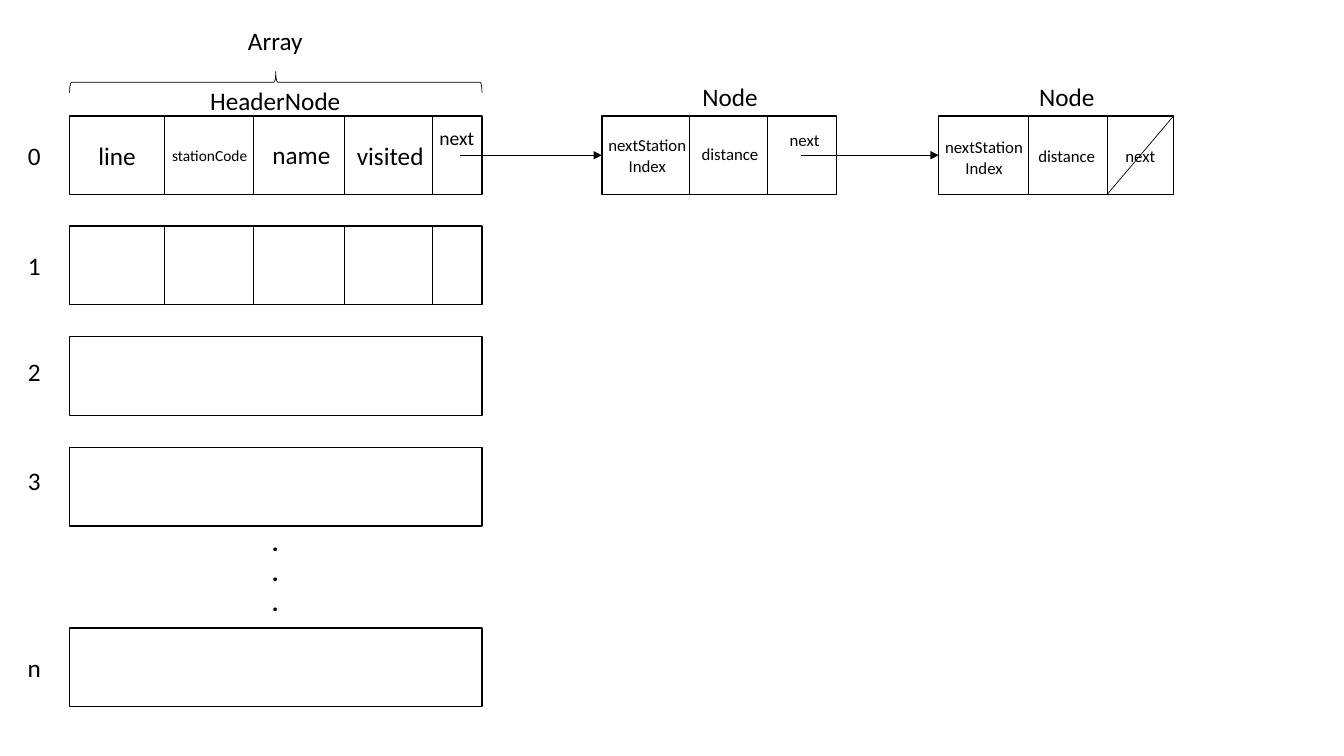
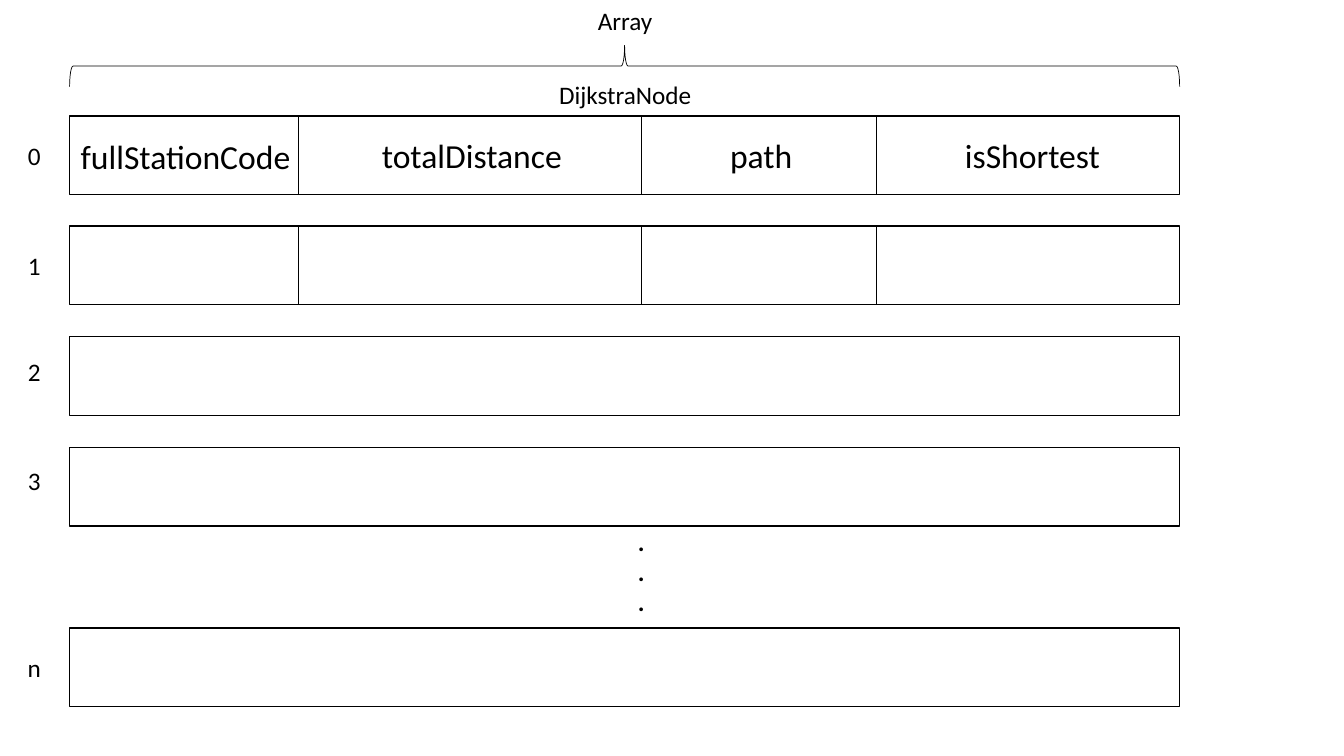
from lxml.etree import SubElement as Sub
from pptx import Presentation
from pptx.dml.color import RGBColor
from pptx.enum.shapes import MSO_CONNECTOR as Conn, MSO_SHAPE as Kind
from pptx.enum.text import MSO_ANCHOR as Anchor, MSO_AUTO_SIZE as Auto, PP_ALIGN as Align
from pptx.oxml.ns import qn
from pptx.util import Emu, Pt

PX = 9144
BLACK = RGBColor(0, 0, 0)
LEFT, TOP, HIGH = 69, 115, 78
MID = TOP + HIGH // 2
ROWS = (("0", 115, 154), ("1", 224, 263), ("2", 334, 368), ("3", 444, 477), ("n", 623, 662))
FRAME = {"word_wrap": True, "auto_size": Auto.SHAPE_TO_FIT_TEXT, "vertical_anchor": Anchor.MIDDLE}


def px(*vals):
    """Turn lengths in px into EMU."""
    return [Emu(round(val * PX)) for val in vals]


def style(item, vals):
    """Set each attribute named in a dict."""
    for key, val in vals.items():
        setattr(item, key, val)


def stroke(item, width):
    """Give a shape or connector a black line."""
    item.line.color.rgb = BLACK
    item.line.width = Pt(width)


def shape(slide, kind, box, width):
    """Draw an unfilled preset shape."""
    item = slide.shapes.add_shape(kind, *px(*box))
    item.shadow.inherit = False
    item.fill.background()
    stroke(item, width)
    return item


def rule(slide, *ends):
    """Draw a thin straight line."""
    line = slide.shapes.add_connector(Conn.STRAIGHT, *px(*ends))
    stroke(line, 0.5)
    Sub(line.element.spPr, qn("a:effectLst"))
    return line


def arrow(slide, start, node):
    """Point from a next cell to the left side of a node."""
    line = rule(slide, start, MID, start + 1, MID)
    line.end_connect(node, 1)
    Sub(line.element.spPr.find(qn("a:ln")), qn("a:tailEnd"), type="triangle")


def label(slide, words, x, y, size=18, wide=138, bold=None):
    """Write centred text around a point."""
    high = 10 + (words.count("\n") + 1) * size * 1.22 * 100 / 72
    box = slide.shapes.add_textbox(*px(x - wide / 2, y - high / 2, wide, high))
    frame = box.text_frame
    frame.text = words
    style(frame, FRAME)
    for para in frame.paragraphs:
        para.alignment = Align.CENTER
        for run in para.runs:
            style(run.font, {"name": "Calibri", "size": Pt(size), "bold": bold})
            run.font.color.rgb = BLACK


def labels(slide, items):
    """Write a list of labels."""
    for item in items:
        label(slide, *item)


def split(slide, top, cuts):
    """Divide a row into cells."""
    for x in cuts:
        rule(slide, x, top, x, top + HIGH)


def brace(slide, wide, top, depth):
    """Draw an upward brace across the array."""
    box = (LEFT + (wide - depth) / 2, top + (depth - wide) / 2, depth, wide)
    shape(slide, Kind.RIGHT_BRACE, box, 0.5).rotation = 270


def array(slide, wide, cuts, dots):
    """Draw the indexed rows and the dots between the last two."""
    for name, top, y in ROWS:
        shape(slide, Kind.RECTANGLE, (LEFT, top, wide, HIGH), 1)
        label(slide, name, 34, y, wide=60)
    for name, top, y in ROWS[:2]:
        split(slide, top, cuts)
    label(slide, ".\n.\n.", dots, 567, wide=198, bold=True)


def node(slide, left, cuts, start):
    """Draw a list node and the arrow that leads to it."""
    box = shape(slide, Kind.RECTANGLE, (left, TOP, 233, HIGH), 1)
    split(slide, TOP, cuts)
    arrow(slide, start, box)
    label(slide, "Node", left + 127, 96)


def graph(slide):
    """Build the adjacency list slide."""
    array(slide, 409, (163, 251, 342, 429), 273)
    brace(slide, 409, 71, 21)
    node(slide, 597, (684, 761), 456)
    node(slide, 931, (1020, 1098), 794)
    rule(slide, 1164, TOP, 1098, TOP + HIGH)
    labels(slide, (
        ("Array", 273, 40),
        ("HeaderNode", 273, 100, 18, 159),
        ("line", 116, 154),
        ("stationCode", 208, 154, 11),
        ("name", 299, 153),
        ("visited", 387, 154),
        ("next", 453, 137, 14),
        ("nextStation\nIndex", 642, 154, 12),
        ("distance", 724, 153, 12),
        ("next", 798, 139, 12),
        ("nextStation\nIndex", 976, 156, 12),
        ("distance", 1058, 155, 12),
        ("next", 1131, 155, 12),
    ))


def table(slide):
    """Build the shortest path array slide."""
    array(slide, 1101, (296, 636, 869), 636)
    brace(slide, 1101, 45, 41)
    labels(slide, (
        ("Array", 620, 20),
        ("DijkstraNode", 620, 94, 18, 159),
        ("fullStationCode", 184, 155, 24, 239),
        ("totalDistance", 468, 154, 24, 203),
        ("path", 755, 154, 24),
        ("isShortest", 1024, 154, 24, 179),
    ))


def main():
    """Build and save the deck."""
    deck = Presentation()
    deck.slide_width, deck.slide_height = px(1333, 750)
    for build in (graph, table):
        build(deck.slides.add_slide(deck.slide_layouts[6]))
    deck.save("out.pptx")


if __name__ == "__main__":
    main()
